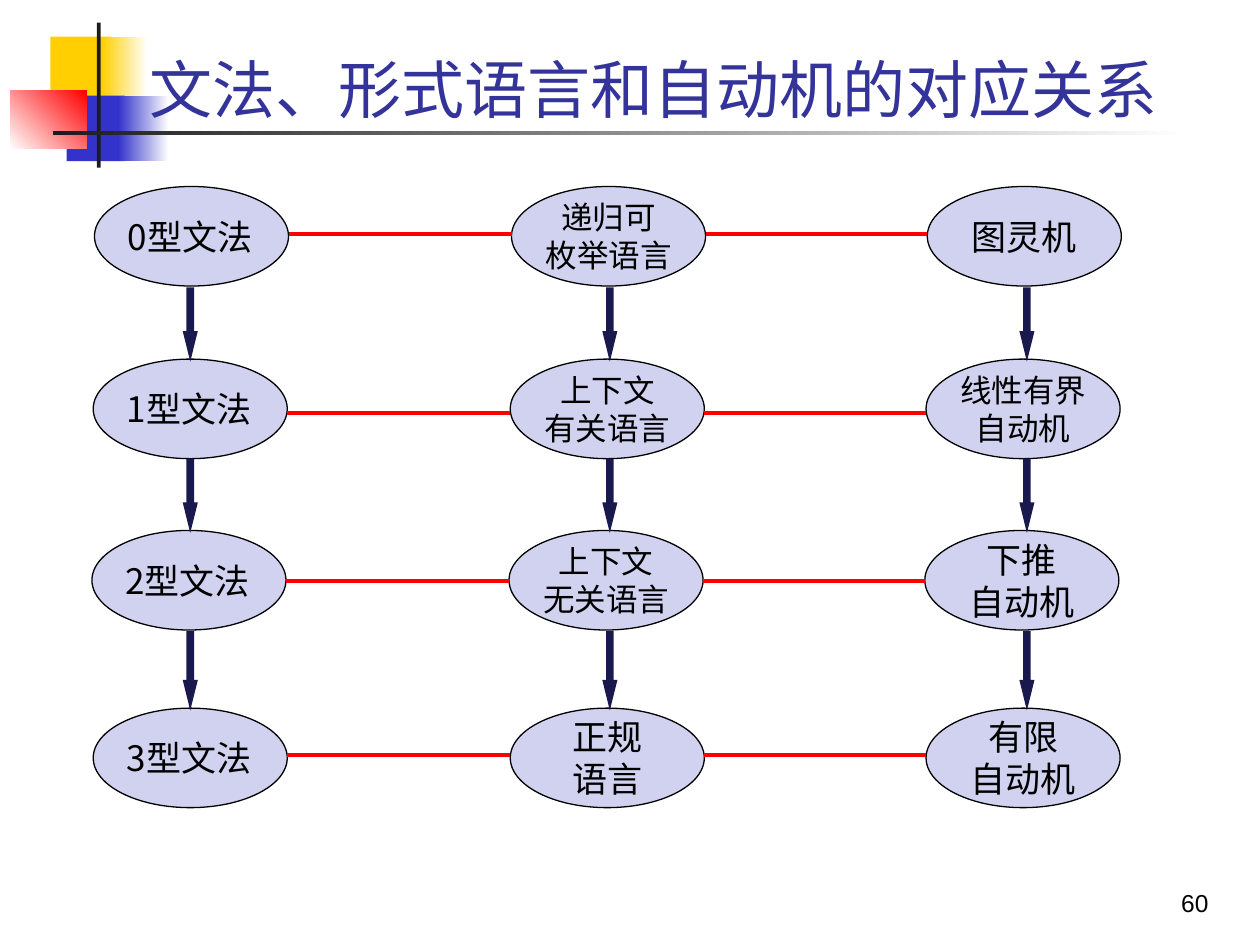
from pptx import Presentation
from pptx.dml.color import RGBColor
from pptx.enum.shapes import MSO_CONNECTOR, MSO_SHAPE
from pptx.enum.text import MSO_ANCHOR, PP_ALIGN
from pptx.oxml.ns import qn
from pptx.util import Inches, Pt
from lxml import etree

RECT, OVAL, DOWN = MSO_SHAPE.RECTANGLE, MSO_SHAPE.OVAL, MSO_SHAPE.DOWN_ARROW
STRAIGHT = MSO_CONNECTOR.STRAIGHT
LEFT, CENTER, RIGHT = PP_ALIGN.LEFT, PP_ALIGN.CENTER, PP_ALIGN.RIGHT
MIDDLE, BOTTOM = MSO_ANCHOR.MIDDLE, MSO_ANCHOR.BOTTOM

TITLE = "文法、形式语言和自动机的对应关系"
PAGE = "60"
DECOR = [
    ((0.4, 0.29, 0.48, 0.52), ["FFCF01"], 0),
    ((0.81, 0.29, 0.36, 0.52), ["FFCF01", "FFFFFF"], 0),
    ((0.53, 0.76, 0.46, 0.52), ["3333CC"], 0),
    ((0.94, 0.76, 0.4, 0.52), ["3333CC", "FFFFFF"], 0),
    ((0.08, 0.72, 0.61, 0.46), ["FFFFFF", "FF0000"], 45),
    ((0.77, 0.18, 0.03, 1.15), ["1C1C1C"], 0),
    ((0.42, 1.04, 9, 0.03), ["1C1C1C", "FFFFFF"], 0),
]
COLUMNS = [
    (0.74, 1.45, LEFT, (0.04, 0.05),
     [("0型文法", 20), ("1型文法", 20), ("2型文法", 20), ("3型文法", 20)]),
    (4.05, 4.78, CENTER, (0, 0),
     [("递归可\n枚举语言", 18), ("上下文\n有关语言", 18),
      ("上下文\n无关语言", 18), ("正规\n语言", 20)]),
    (7.35, 8.09, CENTER, (0, 0),
     [("图灵机", 20), ("线性有界\n自动机", 18),
      ("下推\n自动机", 20), ("有限\n自动机", 20)]),
]
ROW_TOPS = [1.48, 2.85, 4.21, 5.62]
ROW_SHIFTS = [0.01, 0, -0.01, 0]
LINK_YS = [1.86, 3.28, 4.61, 5.99]
ARROWS = [(2.28, 0.59), (3.64, 0.59), (5.01, 0.63)]
OVAL_W, OVAL_H, ARROW_W = 1.54, 0.79, 0.12


def rgb(color):
    """Turn a hex string into a colour."""
    return RGBColor.from_string(color)


def add_shape(s, kind, box, colors, angle=0):
    """Add a borderless shape with a solid or two-colour gradient fill."""
    sp = s.shapes.add_shape(kind, *map(Inches, box))
    sp.shadow.inherit = False
    sp.line.fill.background()
    if len(colors) == 1:
        sp.fill.solid()
        sp.fill.fore_color.rgb = rgb(colors[0])
    else:
        sp.fill.gradient()
        sp.fill.gradient_angle = angle
        for stop, color in zip(sp.fill.gradient_stops, colors):
            stop.color.rgb = rgb(color)
    return sp


def set_text(sp, text, font, size, color, align, anchor):
    """Write the text, one paragraph a line, in a single style."""
    tf = sp.text_frame
    tf.word_wrap = True
    tf.vertical_anchor = anchor
    tf.text = text
    for p in tf.paragraphs:
        p.alignment = align
        p.font.name, p.font.size = font, Pt(size)
        p.font.color.rgb = rgb(color)


def add_node(s, x, y, text, size, align, inset):
    """Add an outlined ellipse with its label."""
    sp = add_shape(s, OVAL, (x, y, OVAL_W, OVAL_H), ["D1D1F0"])
    sp.line.color.rgb = rgb("000000")
    sp.line.width = Pt(0.75)
    tf = sp.text_frame
    tf.margin_left = tf.margin_right = Inches(inset[0])
    tf.margin_top = tf.margin_bottom = Inches(inset[1])
    set_text(sp, text, "Noto Sans CJK SC", size, "000000", align, MIDDLE)


def add_link(s, x1, x2, y):
    """Add a red horizontal line."""
    line = s.shapes.add_connector(STRAIGHT, *map(Inches, (x1, y, x2, y)))
    line.line.color.rgb = rgb("FF0000")
    line.line.width = Pt(2.25)
    etree.SubElement(line._element.spPr, qn("a:effectLst"))


def main():
    """Build the slide and save it."""
    prs = Presentation()
    prs.slide_width, prs.slide_height = Inches(10), Inches(7.5)
    s = prs.slides.add_slide(prs.slide_layouts[5])
    for box, colors, angle in DECOR:
        add_shape(s, RECT, box, colors, angle)

    title = s.shapes.title
    title.left, title.top, title.width, title.height = map(
        Inches, (1.09, 0.21, 8.59, 0.84))
    set_text(title, TITLE, "Arial", 36, "333399", LEFT, BOTTOM)
    s.shapes._spTree.append(title._element)

    page = s.shapes.add_textbox(*map(Inches, (7.61, 6.83, 2.08, 0.5)))
    set_text(page, PAGE, "Arial", 14, "000000", RIGHT, BOTTOM)

    for x, arrow_x, align, inset, nodes in COLUMNS:
        for (text, size), y, shift in zip(nodes, ROW_TOPS, ROW_SHIFTS):
            add_node(s, x + shift, y, text, size, align, inset)
        for y, h in ARROWS:
            arrow = add_shape(s, DOWN, (arrow_x, y, ARROW_W, h), ["19194D"])
            arrow.adjustments[1] = 2.02

    for here, after in zip(COLUMNS, COLUMNS[1:]):
        for y, shift in zip(LINK_YS, ROW_SHIFTS):
            add_link(s, here[0] + OVAL_W + shift, after[0] + shift, y)
    prs.save("out.pptx")


if __name__ == "__main__":
    main()
